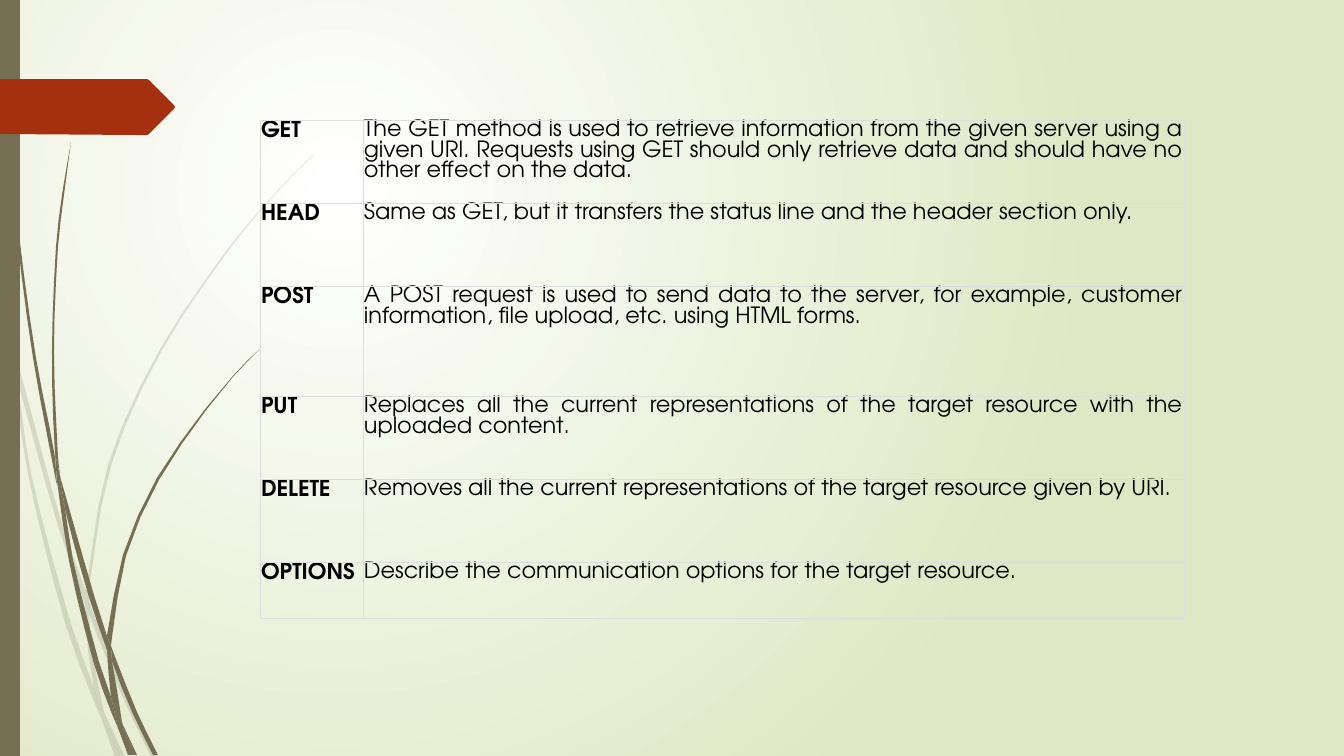
import math
from dataclasses import dataclass

import pptx
import pptx.dml.color
import pptx.enum.shapes
import pptx.enum.text
import pptx.oxml
import pptx.oxml.ns
import pptx.util

Point = tuple[float, float]
EMU_PER_PIXEL = 914400 / 100.8
CURVE_STEP = 45


@dataclass(frozen=True)
class Theme:
    font: str = "TeX Gyre Adventor"
    text_size: float = 16
    line_spacing: float = 14.5
    text: str = "000000"
    glow: str = "FFFFFF"
    meadow: str = "DFE8C4"
    bark: str = "766F54"
    tag: str = "A53010"
    border: str = "DDDDDD"
    border_width: float = 0.5
    pale_opacity: int = 20


@dataclass(frozen=True)
class Blade:
    """A piece of grass between two curved edges."""
    left_edge: list[Point]
    right_edge: list[Point]


@dataclass(frozen=True)
class Method:
    name: str
    description: str
    height: int


THEME = Theme()

PALE_BLADES = [
    Blade([(0, 301), (10, 347), (11, 353)], [(0, 284), (9, 325), (11, 353)]),
    Blade([(17, 379), (58, 526), (85, 604)], [(14, 348), (62, 524), (86, 591)]),
    Blade([(89, 615), (124, 700), (151, 757)], [(89, 601), (93, 612), (128, 698), (156, 757)]),
    Blade([(106, 717), (120, 757)], [(106, 717), (125, 757)]),
    Blade([(11, 353), (28, 474), (66, 626), (93, 699), (102, 720)],
          [(11, 353), (17, 379), (31, 473), (71, 624), (94, 688), (100, 713), (102, 720)]),
    Blade([(85, 604), (88, 651), (94, 688), (97, 698), (106, 717)],
          [(85, 604), (89, 615), (92, 651), (104, 712), (106, 717)]),
    Blade([(86, 591), (86, 589), (108, 465), (159, 351), (230, 246), (270, 199), (291, 176), (314, 154)],
          [(89, 601), (89, 589), (111, 466), (161, 352), (231, 247), (270, 200), (292, 176), (314, 155)]),
    Blade([(102, 720), (115, 757)], [(102, 720), (120, 757)]),
    Blade([(86, 591), (85, 604), (89, 613)], [(86, 591), (89, 601), (89, 615)]),
    Blade([(94, 688), (100, 713), (102, 720), (120, 757)],
          [(94, 688), (97, 698), (106, 717), (120, 757)]),
]

DARK_BLADES = [
    Blade([(3, 0), (4, 48), (7, 111), (17, 235), (33, 358), (56, 481), (57, 485)],
          [(4, 0), (5, 48), (8, 110), (19, 234), (36, 358), (55, 457), (57, 485)]),
    Blade([(60, 476), (65, 509), (89, 597), (107, 650)], [(60, 476), (94, 595), (107, 636), (107, 650)]),
    Blade([(111, 646), (112, 661), (133, 714), (153, 755)],
          [(111, 646), (114, 654), (137, 712), (158, 755)]),
    Blade([(57, 481), (69, 561), (94, 664), (112, 714), (118, 728)],
          [(57, 481), (65, 509), (73, 560), (99, 662), (111, 697), (117, 723), (118, 728)]),
    Blade([(71, 142), (62, 195), (56, 247), (52, 352), (55, 453), (60, 476)],
          [(71, 142), (64, 195), (58, 247), (54, 352), (58, 457), (60, 476)]),
    Blade([(123, 725), (134, 755)], [(123, 725), (137, 755)]),
    Blade([(55, 453), (57, 481), (65, 509)], [(55, 453), (60, 476), (65, 509)]),
    Blade([(262, 347), (247, 361), (233, 376), (206, 408), (157, 478), (123, 555), (107, 636)],
          [(262, 347), (247, 362), (233, 377), (207, 409), (159, 480), (126, 556), (112, 638), (111, 646)]),
    Blade([(118, 728), (128, 755)], [(118, 728), (132, 755)]),
    Blade([(107, 650), (111, 697), (117, 712), (123, 725)],
          [(107, 650), (112, 661), (122, 722), (123, 725)]),
    Blade([(107, 636), (107, 650), (112, 661)], [(107, 636), (111, 646), (112, 661)]),
    Blade([(111, 697), (117, 723), (118, 728), (131, 755)],
          [(111, 697), (117, 712), (123, 725), (134, 755)]),
]

TAG_OUTLINE = [(0, 79), (147, 79), (149, 80), (174, 105), (175, 107), (174, 109),
               (149, 134), (147, 135), (137, 135), (0, 134)]

METHODS = [
    Method("GET", "The GET method is used to retrieve information from the given server using a given URI. "
           "Requests using GET should only retrieve data and should have no other effect on the data.", 83),
    Method("HEAD", "Same as GET, but it transfers the status line and the header section only.", 83),
    Method("POST", "A POST request is used to send data to the server, for example, customer information, "
           "file upload, etc. using HTML forms.", 110),
    Method("PUT", "Replaces all the current representations of the target resource with the uploaded content.", 83),
    Method("DELETE", "Removes all the current representations of the target resource given by URI.", 83),
    Method("OPTIONS", "Describe the communication options for the target resource.", 56),
]
COLUMN_WIDTHS = (103, 821)


def px(pixels: float) -> pptx.util.Emu:
    return pptx.util.Emu(round(pixels * EMU_PER_PIXEL))


def rgb(colour: str) -> pptx.dml.color.RGBColor:
    return pptx.dml.color.RGBColor.from_string(colour)


def smooth(knots: list[Point]) -> list[Point]:
    """Samples a cubic Hermite curve through the knots, paced by their distance."""
    last = len(knots) - 1
    times = [0.0]
    for start, end in zip(knots, knots[1:]):
        times.append(times[-1] + math.dist(start, end))

    def slope(index: int, axis: int) -> float:
        before, after = max(index - 1, 0), min(index + 1, last)
        return (knots[after][axis] - knots[before][axis]) / (times[after] - times[before])

    def position(index: int, t: float, axis: int) -> float:
        span = times[index + 1] - times[index]
        rise = t * t * (3 - 2 * t)
        return (knots[index][axis] * (1 - rise) + knots[index + 1][axis] * rise
                + span * t * (1 - t) * ((1 - t) * slope(index, axis) - t * slope(index + 1, axis)))

    points = []
    for index in range(last):
        steps = math.ceil((times[index + 1] - times[index]) / CURVE_STEP)
        points += [(position(index, step / steps, 0), position(index, step / steps, 1))
                   for step in range(steps)]
    return points + [knots[-1]]


def paint(shape, colour: str, opacity: int = 100) -> None:
    shape.shadow.inherit = False
    shape.line.fill.background()
    shape.fill.solid()
    shape.fill.fore_color.rgb = rgb(colour)
    if opacity < 100:
        colour_element = shape.element.spPr.find(".//" + pptx.oxml.ns.qn("a:srgbClr"))
        colour_element.append(pptx.oxml.parse_xml(
            f'<a:alpha {pptx.oxml.ns.nsdecls("a")} val="{opacity * 1000}"/>'))


def draw_outline(slide, outline: list[Point], colour: str, opacity: int = 100) -> None:
    points = [(px(x), px(y)) for x, y in outline]
    builder = slide.shapes.build_freeform(*points[0])
    builder.add_line_segments(points[1:], close=True)
    paint(builder.convert_to_shape(), colour, opacity)


def draw_background(slide) -> None:
    fill = slide.background.fill
    fill.gradient()
    for stop, colour in zip(fill.gradient_stops, (THEME.glow, THEME.meadow)):
        stop.color.rgb = rgb(colour)
    gradient = slide.element.find(".//" + pptx.oxml.ns.qn("a:gradFill"))
    gradient.replace(gradient.find(pptx.oxml.ns.qn("a:lin")), pptx.oxml.parse_xml(
        f'<a:path {pptx.oxml.ns.nsdecls("a")} path="circle">'
        '<a:fillToRect l="50000" t="50000" r="100000" b="100000"/></a:path>'))


def format_cell(cell, text: str, is_name: bool) -> None:
    cell.margin_left = cell.margin_right = cell.margin_top = cell.margin_bottom = px(1)
    cell.fill.background()
    for index, side in enumerate(("lnL", "lnR", "lnT", "lnB")):
        cell._tc.get_or_add_tcPr().insert(index, pptx.oxml.parse_xml(
            f'<a:{side} {pptx.oxml.ns.nsdecls("a")} w="{pptx.util.Pt(THEME.border_width)}">'
            f'<a:solidFill><a:srgbClr val="{THEME.border}"/></a:solidFill></a:{side}>'))
    cell.text_frame.text = text
    paragraph = cell.text_frame.paragraphs[0]
    alignment = pptx.enum.text.PP_ALIGN
    paragraph.alignment = alignment.LEFT if is_name else alignment.JUSTIFY
    paragraph.line_spacing = pptx.util.Pt(THEME.line_spacing)
    font = paragraph.runs[0].font
    font.name, font.size, font.bold = THEME.font, pptx.util.Pt(THEME.text_size), is_name
    font.color.rgb = rgb(THEME.text)


def draw_methods(slide) -> None:
    height = sum(method.height for method in METHODS)
    table = slide.shapes.add_table(len(METHODS), len(COLUMN_WIDTHS), px(260), px(120),
                                   px(sum(COLUMN_WIDTHS)), px(height)).table
    table.first_row = table.horz_banding = False
    for column, width in zip(table.columns, COLUMN_WIDTHS):
        column.width = px(width)
    for row, method in zip(table.rows, METHODS):
        row.height = px(method.height)
        format_cell(row.cells[0], method.name, is_name=True)
        format_cell(row.cells[1], method.description, is_name=False)


presentation = pptx.Presentation()
presentation.slide_width, presentation.slide_height = px(1344), px(756)
slide = presentation.slides.add_slide(presentation.slide_layouts[6])
draw_background(slide)

# Grass, side bar and tag
for blades, opacity in ((PALE_BLADES, THEME.pale_opacity), (DARK_BLADES, 100)):
    for blade in blades:
        draw_outline(slide, smooth(blade.left_edge) + smooth(blade.right_edge)[::-1], THEME.bark, opacity)
side_bar = slide.shapes.add_shape(pptx.enum.shapes.MSO_SHAPE.RECTANGLE, 0, 0, px(20), px(756))
paint(side_bar, THEME.bark)
draw_outline(slide, TAG_OUTLINE, THEME.tag)

# Table of request methods
draw_methods(slide)
presentation.save("out.pptx")
